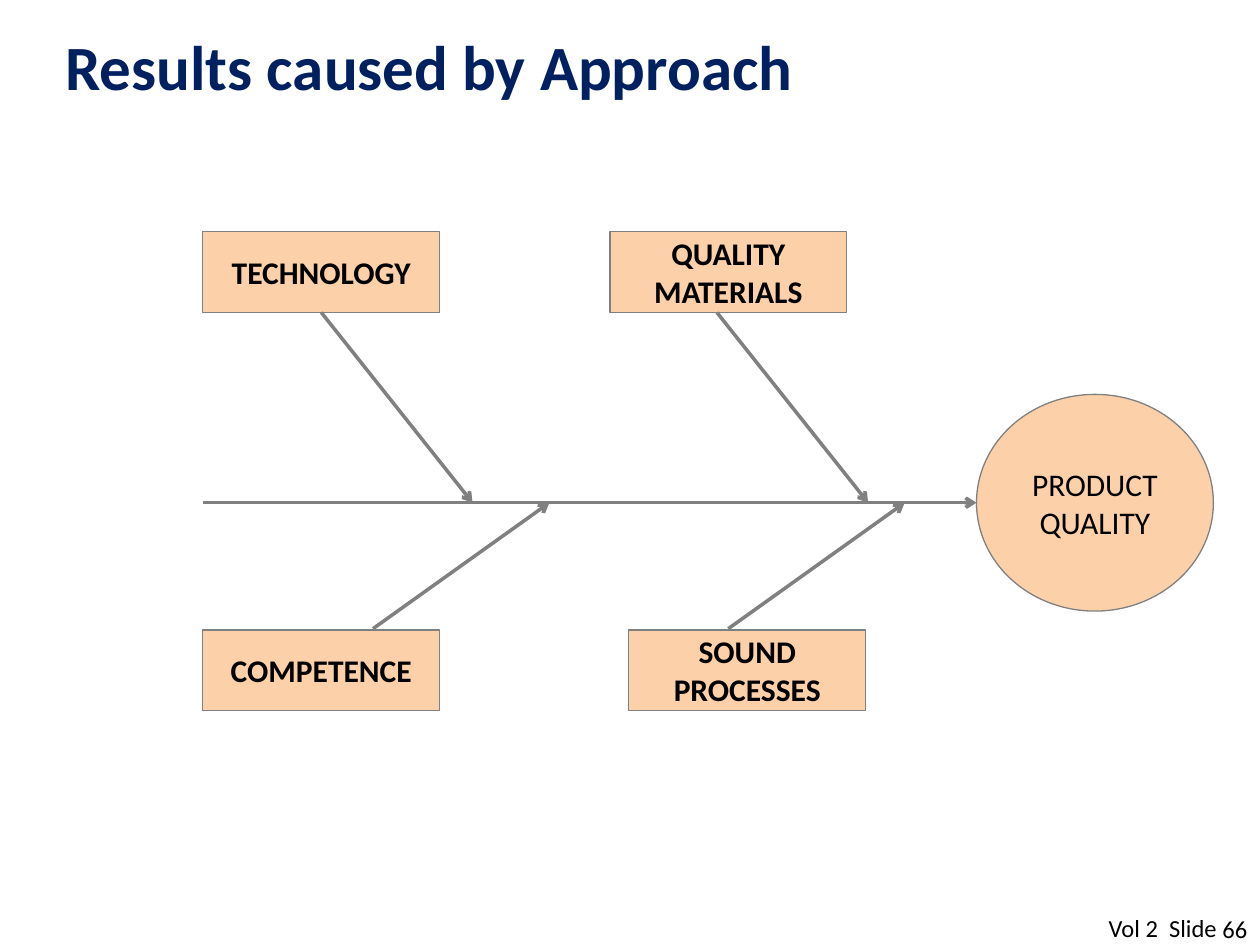
from lxml import etree
from pptx import Presentation
from pptx.dml.color import RGBColor
from pptx.enum.shapes import MSO_CONNECTOR, MSO_SHAPE
from pptx.enum.text import MSO_ANCHOR, PP_ALIGN
from pptx.oxml.ns import qn
from pptx.util import Inches, Pt

STRAIGHT = MSO_CONNECTOR.STRAIGHT
BOX, ELLIPSE = MSO_SHAPE.RECTANGLE, MSO_SHAPE.OVAL
TOP, MIDDLE, BOTTOM = MSO_ANCHOR.TOP, MSO_ANCHOR.MIDDLE, MSO_ANCHOR.BOTTOM
LEFT, CENTER, RIGHT = PP_ALIGN.LEFT, PP_ALIGN.CENTER, PP_ALIGN.RIGHT


def color(hex_value):
    return RGBColor.from_string(hex_value)


class FishboneSlide:
    """Places elements on a grid of 100 columns by 75 rows."""
    FONT = "Calibri"
    INK, NAVY, PEACH, GRAY = "000000", "002060", "FCD1AA", "808080"
    COLUMNS, ROWS = 100, 75

    def __init__(self, presentation):
        self.column = presentation.slide_width / self.COLUMNS
        self.row = presentation.slide_height / self.ROWS
        self.shapes = presentation.slides.add_slide(presentation.slide_layouts[6]).shapes

    def place(self, *lengths):
        """Turn alternating columns and rows into slide lengths."""
        units = (self.column, self.row) * 2
        return [round(length * unit) for length, unit in zip(lengths, units)]

    def set_words(self, frame, words, size, ink, bold, align, anchor):
        frame.text = words
        frame.vertical_anchor = anchor
        paragraph = frame.paragraphs[0]
        paragraph.alignment = align
        font = paragraph.runs[0].font
        font.name, font.size, font.bold = self.FONT, Pt(size), bold
        font.color.rgb = color(ink)

    def label(self, words, area, size=14, ink=INK, bold=False,
              align=LEFT, anchor=TOP, wrap=False, inset=True):
        frame = self.shapes.add_textbox(*self.place(*area)).text_frame
        frame.word_wrap = wrap
        if not inset:
            frame.margin_left = frame.margin_right = 0
            frame.margin_top = frame.margin_bottom = 0
        self.set_words(frame, words, size, ink, bold, align, anchor)

    def node(self, words, area, outline=BOX, bold=True):
        node = self.shapes.add_shape(outline, *self.place(*area))
        node.shadow.inherit = False
        node.fill.solid()
        node.fill.fore_color.rgb = color(self.PEACH)
        node.line.color.rgb = color(self.GRAY)
        node.line.width = Pt(0.75)
        node.text_frame.word_wrap = True
        self.set_words(node.text_frame, words, 18, self.INK, bold, CENTER, MIDDLE)

    def arrow(self, start, end):
        arrow = self.shapes.add_connector(STRAIGHT, *self.place(*start, *end))
        arrow.line.color.rgb = color(self.GRAY)
        arrow.line.width = Pt(2)
        properties = arrow._element.spPr
        etree.SubElement(properties.find(qn("a:ln")), qn("a:tailEnd"), type="arrow")
        etree.SubElement(properties, qn("a:effectLst"))


def main():
    presentation = Presentation()
    presentation.slide_width, presentation.slide_height = Inches(10), Inches(7.5)
    slide = FishboneSlide(presentation)

    slide.label("66", (95.3, 72.5, 3.7, 2.4), align=RIGHT, anchor=BOTTOM, inset=False)
    slide.label("Vol 2  Slide", (87, 72, 10.7, 3.4))
    slide.label("Results caused by Approach", (4.2, 2.3, 92.5, 5.8), size=36,
                ink=slide.NAVY, bold=True, anchor=MIDDLE, wrap=True)

    spine, tail, head = 39.9, 16.1, 77.5
    node_width, cause_height, effect_height = 18.8, 6.4, 17.2
    upper, lower = 18.4, 50
    slide.node("PRODUCT QUALITY", (head, spine - effect_height / 2, node_width, effect_height),
               ELLIPSE, bold=False)
    slide.arrow((tail, spine), (head, spine))

    # cause, left and top of its box, start of its bone, run of the bone along the spine
    upper_edge, lower_edge = upper + cause_height, lower - 0.1
    causes = [
        ("TECHNOLOGY", tail, upper, (25.5, upper_edge), 12),
        ("COMPETENCE", tail, lower, (29.6, lower_edge), 14),
        ("SOUND PROCESSES", 49.9, lower, (57.8, lower_edge), 14),
        ("QUALITY MATERIALS", 48.4, upper, (56.9, upper_edge), 12),
    ]
    for cause, left, top, bone, run in causes:
        slide.node(cause, (left, top, node_width, cause_height))
        slide.arrow(bone, (bone[0] + run, spine))

    presentation.save("out.pptx")


if __name__ == "__main__":
    main()
